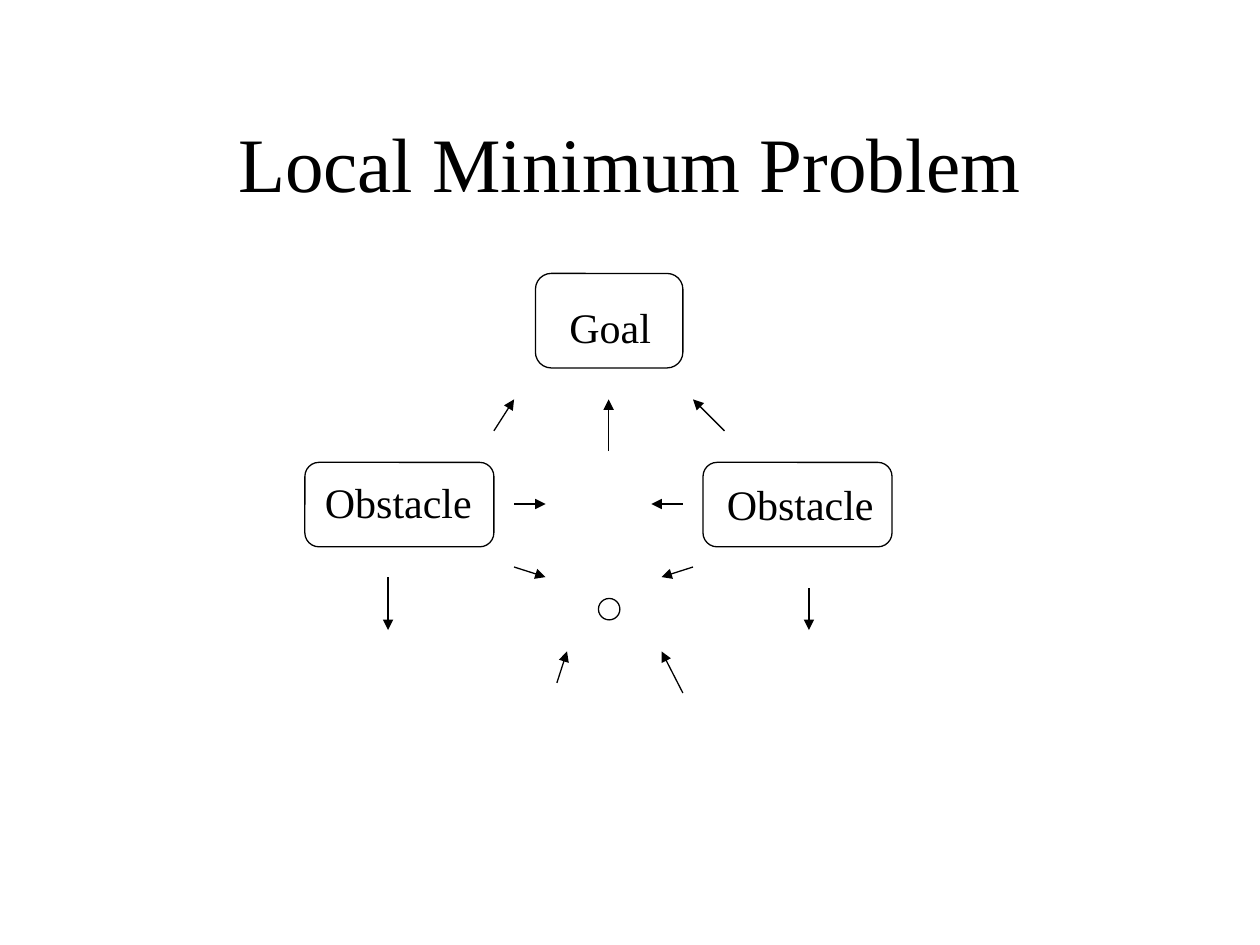
"""Build the Local Minimum Problem slide: a robot trapped between obstacles below its goal."""
import pptx
import pptx.dml.color
import pptx.enum.shapes
import pptx.enum.text
import pptx.oxml.ns
import pptx.util
from lxml import etree
from pptx.util import Inches

INK = "000000"
FONT = "Times New Roman"
SHAPES = pptx.enum.shapes.MSO_SHAPE
ALIGN = pptx.enum.text.PP_ALIGN
ANCHOR = pptx.enum.text.MSO_ANCHOR
FIT = pptx.enum.text.MSO_AUTO_SIZE

TITLE = ("Local Minimum Problem", (0.75, 0.66, 8.5, 1.25))
LABELS = [
    ("Goal", (4.42, 2.34, 0.92, 0.5)),
    ("Obstacle", (2.48, 3.73, 1.37, 0.5)),
    ("Obstacle", (5.67, 3.75, 1.37, 0.5)),
]
OUTLINES = [
    (SHAPES.ROUNDED_RECTANGLE, (4.25, 2.17, 1.17, 0.75)),
    (SHAPES.ROUNDED_RECTANGLE, (5.58, 3.67, 1.5, 0.67)),
    (SHAPES.ROUNDED_RECTANGLE, (2.42, 3.67, 1.5, 0.67)),
    (SHAPES.OVAL, (4.75, 4.75, 0.17, 0.17)),
]
FORCES = [
    ((4.83, 3.58), (4.83, 3.17)),
    ((3.92, 3.42), (4.08, 3.17)),
    ((5.75, 3.42), (5.5, 3.17)),
    ((3.08, 4.58), (3.08, 5)),
    ((4.08, 4), (4.33, 4)),
    ((5.42, 4), (5.17, 4)),
    ((6.42, 4.67), (6.42, 5)),
    ((4.08, 4.5), (4.33, 4.58)),
    ((5.5, 4.5), (5.25, 4.58)),
    ((4.42, 5.42), (4.5, 5.17)),
    ((5.42, 5.5), (5.25, 5.17)),
]


def rgb(value):
    return pptx.dml.color.RGBColor.from_string(value)


def ink_line(line):
    line.color.rgb = rgb(INK)
    line.width = pptx.util.Pt(0.75)


def add_text(slide, text, place, size, align=ALIGN.LEFT, anchor=ANCHOR.TOP,
             wrap=False, fit=FIT.SHAPE_TO_FIT_TEXT):
    frame = slide.shapes.add_textbox(*map(Inches, place)).text_frame
    frame.word_wrap = wrap
    frame.auto_size = fit
    frame.vertical_anchor = anchor
    frame.text = text
    paragraph = frame.paragraphs[0]
    paragraph.alignment = align
    font = paragraph.runs[0].font
    font.name = FONT
    font.size = pptx.util.Pt(size)
    font.color.rgb = rgb(INK)


def add_outline(slide, preset, place):
    outline = slide.shapes.add_shape(preset, *map(Inches, place))
    outline.shadow.inherit = False
    outline.fill.background()
    ink_line(outline.line)


def add_force(slide, start, end):
    force = slide.shapes.add_connector(
        pptx.enum.shapes.MSO_CONNECTOR.STRAIGHT, *map(Inches, start + end))
    ink_line(force.line)
    properties = force._element.spPr
    stroke = properties.find(pptx.oxml.ns.qn("a:ln"))
    etree.SubElement(stroke, pptx.oxml.ns.qn("a:tailEnd"), type="triangle")
    etree.SubElement(properties, pptx.oxml.ns.qn("a:effectLst"))


def main():
    deck = pptx.Presentation()
    deck.slide_width, deck.slide_height = Inches(10), Inches(7.5)
    slide = deck.slides.add_slide(deck.slide_layouts[6])
    add_text(slide, *TITLE, 44, ALIGN.CENTER, ANCHOR.MIDDLE, wrap=True, fit=FIT.NONE)
    for text, place in LABELS:
        add_text(slide, text, place, 24)
    for preset, place in OUTLINES:
        add_outline(slide, preset, place)
    for start, end in FORCES:
        add_force(slide, start, end)
    deck.save("out.pptx")


if __name__ == "__main__":
    main()
